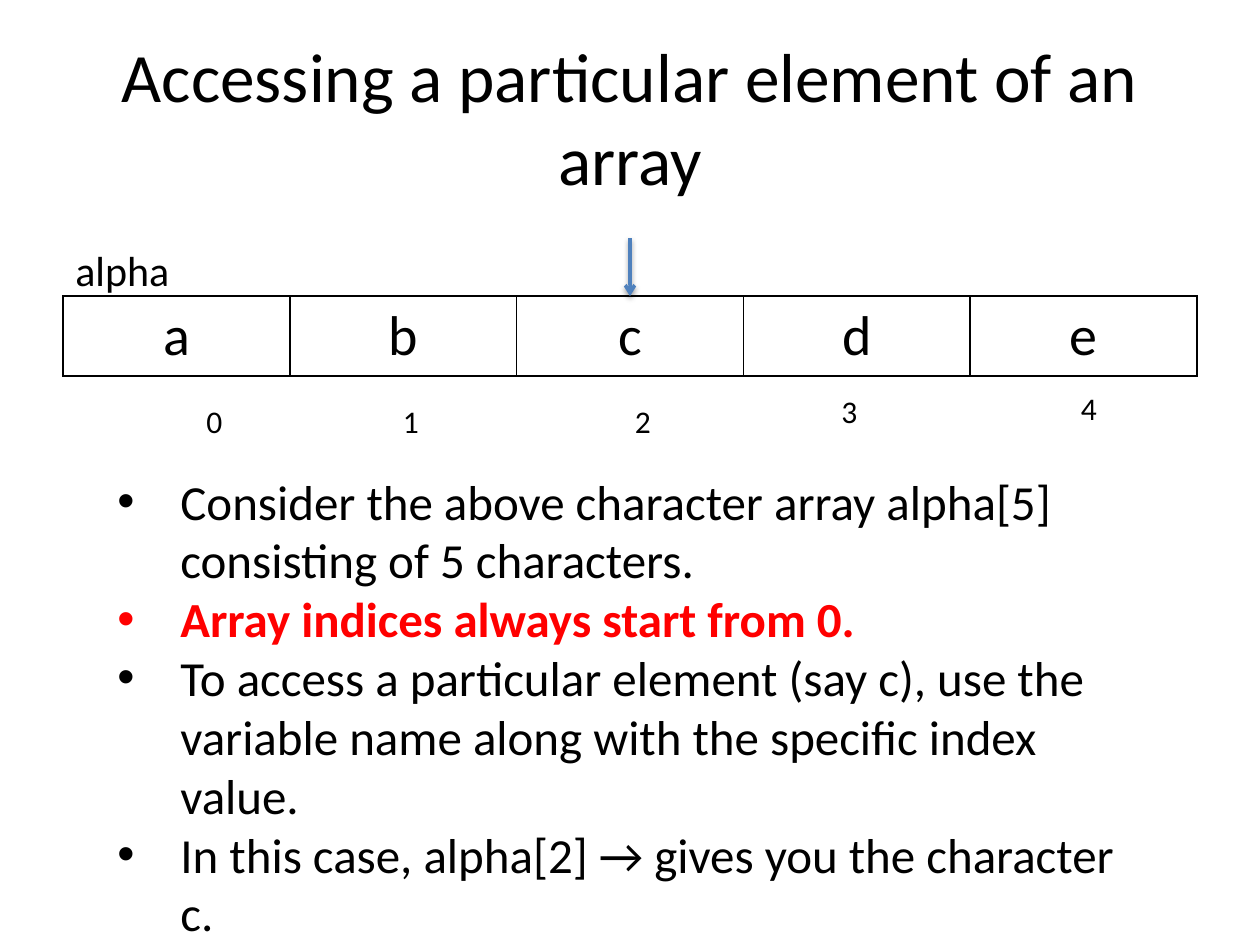
from dataclasses import dataclass

import lxml.etree
import pptx
import pptx.dml.color
import pptx.enum.shapes
import pptx.enum.text
import pptx.oxml
import pptx.oxml.ns
import pptx.util

Pt = pptx.util.Pt
Align = pptx.enum.text.PP_ALIGN
Anchor = pptx.enum.text.MSO_ANCHOR
FONT = "Calibri"
BLACK, RED, BLUE = "000000", "FF0000", "4F81BD"


@dataclass
class Label:
    text: str
    left: float
    top: float
    width: float
    height: float
    size: float
    wrap: bool = True
    align: Align = Align.LEFT
    anchor: Anchor = Anchor.TOP


@dataclass
class Point:
    text: str
    color: str = BLACK
    bold: bool = False


def rgb(color: str) -> pptx.dml.color.RGBColor:
    return pptx.dml.color.RGBColor.from_string(color)


def add_run(paragraph, text: str, size: float, color: str = BLACK, bold: bool = False) -> None:
    run = paragraph.add_run()
    run.text = text
    run.font.name = FONT
    run.font.size = Pt(size)
    run.font.bold = bold
    run.font.color.rgb = rgb(color)


def add_frame(slide, left: float, top: float, width: float, height: float, wrap: bool = True):
    shape = slide.shapes.add_textbox(Pt(left), Pt(top), Pt(width), Pt(height))
    shape.text_frame.word_wrap = wrap
    return shape.text_frame


def add_label(slide, label: Label) -> None:
    frame = add_frame(slide, label.left, label.top, label.width, label.height, label.wrap)
    frame.vertical_anchor = label.anchor
    paragraph = frame.paragraphs[0]
    paragraph.alignment = label.align
    add_run(paragraph, label.text, label.size)


def add_child(parent, tag: str, **attributes: str):
    return lxml.etree.SubElement(parent, pptx.oxml.ns.qn(tag), attributes)


def add_borders(cell) -> None:
    properties = cell._tc.get_or_add_tcPr()
    for side in ("a:lnL", "a:lnR", "a:lnT", "a:lnB"):
        border = add_child(properties, side, w=str(Pt(1)))
        add_child(add_child(border, "a:solidFill"), "a:srgbClr", val=BLACK)


def add_array(slide, letters: str) -> None:
    shape = slide.shapes.add_table(1, len(letters), Pt(36), Pt(169.2), Pt(648), Pt(45.36))
    for cell, letter in zip(shape.table.iter_cells(), letters):
        add_borders(cell)
        cell.fill.background()
        paragraph = cell.text_frame.paragraphs[0]
        paragraph.alignment = Align.CENTER
        add_run(paragraph, letter, 32)


def add_points(slide, points: list[Point]) -> None:
    frame = add_frame(slide, 60, 265.68, 600, 278.64)
    for number, point in enumerate(points):
        paragraph = frame.add_paragraph() if number else frame.paragraphs[0]
        properties = paragraph._p.get_or_add_pPr()
        properties.set("marL", str(Pt(36)))
        properties.set("indent", str(-Pt(36)))
        add_child(properties, "a:buFont", typeface="Arial")
        add_child(properties, "a:buChar", char="•")
        add_run(paragraph, point.text, 28, point.color, point.bold)


def add_arrow(slide, x: float, top: float, bottom: float) -> None:
    connector = slide.shapes.add_connector(
        pptx.enum.shapes.MSO_CONNECTOR.STRAIGHT, Pt(x), Pt(top), Pt(x), Pt(bottom))
    connector.line.color.rgb = rgb(BLUE)
    connector.line.width = Pt(2)
    add_child(connector.line._get_or_add_ln(), "a:tailEnd", type="arrow")
    effects = add_child(connector._element.spPr, "a:effectLst")
    shadow = add_child(effects, "a:outerShdw", blurRad=str(Pt(3.1)), dist=str(Pt(1.6)),
                       dir="5400000", rotWithShape="0")
    add_child(add_child(shadow, "a:srgbClr", val=BLACK), "a:alpha", val="38000")


TITLE = Label("Accessing a particular element of an array", 36, 21.6, 648, 90, 39.6,
              align=Align.CENTER, anchor=Anchor.MIDDLE)
ARRAY_NAME = Label("alpha", 36, 136.08, 98.64, 36, 24)
INDEX_PLACES = [(110.88, 226.08), (223.2, 226.08), (355.68, 226.08),
                (473.76, 220.32), (610.56, 218.88)]
POINTS = [
    Point("Consider the above character array alpha[5] consisting of 5 characters."),
    Point("Array indices always start from 0.", RED, True),
    Point("To access a particular element (say c), use the variable name along with "
          "the specific index value."),
    Point("In this case, alpha[2] → gives you the character c."),
]

presentation = pptx.Presentation()
presentation.slide_width, presentation.slide_height = Pt(720), Pt(540)
slide = presentation.slides.add_slide(presentation.slide_layouts[6])

# Title and array
add_label(slide, TITLE)
add_array(slide, "abcde")

# Explanation
add_points(slide, POINTS)

# Indices under the cells
for index, (left, top) in enumerate(INDEX_PLACES):
    add_label(slide, Label(str(index), left, top, 23.76, 28.8, 18, wrap=False))

# Arrow to the chosen element, and the array name
add_arrow(slide, 360, 136.08, 169.2)
add_label(slide, ARRAY_NAME)

presentation.save("out.pptx")
